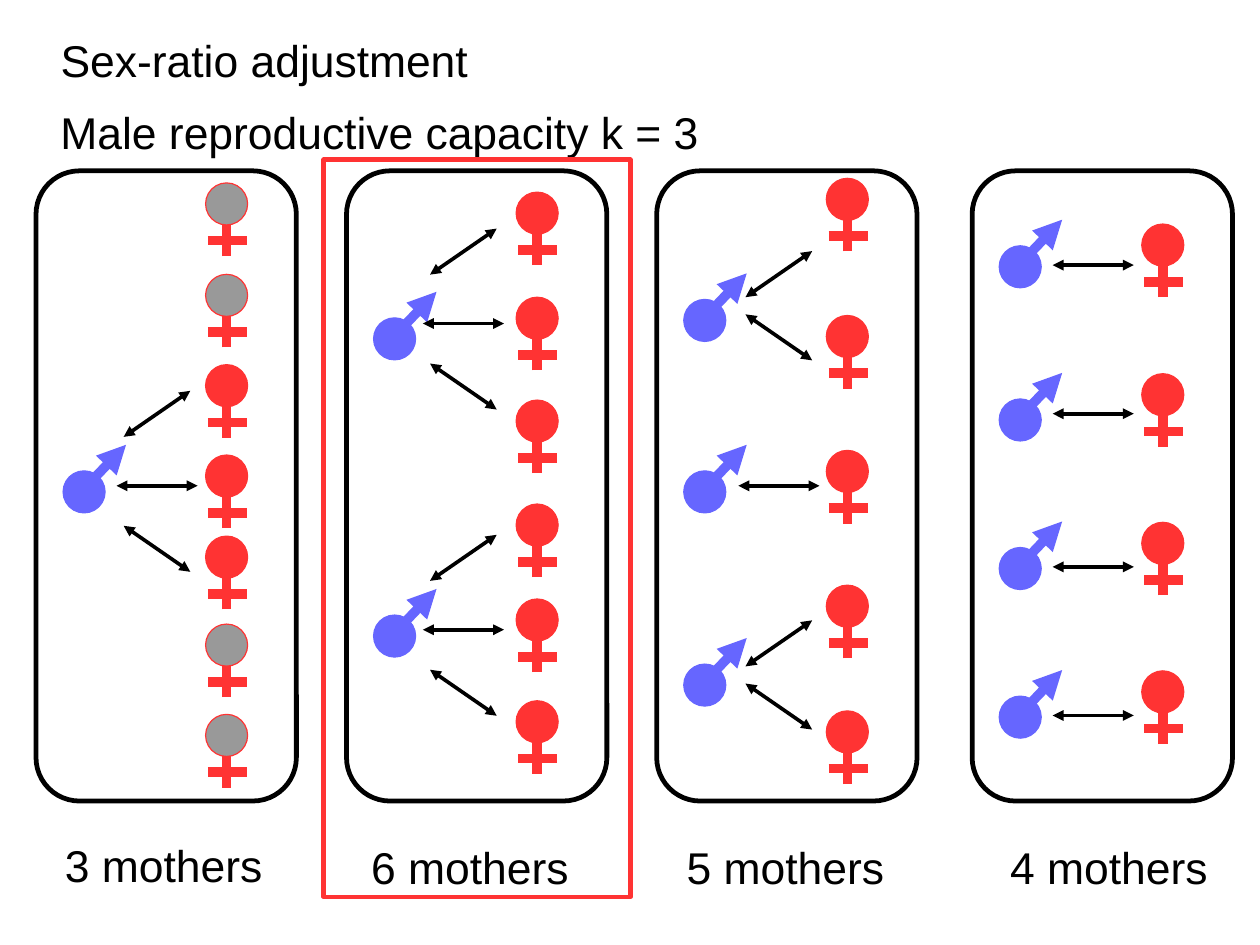
from dataclasses import dataclass

import pptx
import pptx.dml.color
import pptx.enum.shapes
import pptx.enum.text
import pptx.oxml
import pptx.oxml.ns
import pptx.util

Pt = pptx.util.Pt
Shapes = pptx.enum.shapes.MSO_SHAPE

COLORS = {
    "black": "000000",
    "white": "FFFFFF",
    "male": "6666FF",
    "female": "FF3333",
    "unmated": "999999",
}
FONT = "Arial"
FONT_SIZE = 28
TEXT_HEIGHT = 38

# Panel geometry; symbol offsets are measured from the panel's left edge
PANEL_TOP, PANEL_WIDTH, PANEL_HEIGHT = 107.6, 164, 397
MALE_OFFSET, FEMALE_OFFSET = 17, 106.8
HEAD_SIZE = 26.5
SYMBOL_WIDTH, ARROW_WIDTH, FRAME_WIDTH = 6, 2.3, 3

# Arrows for one, two or three mates: x, y, width, height from the fan's origin
LEVEL_ARROW = (0, 0, 51.1, 0)
FANS = {
    1: [LEVEL_ARROW],
    2: [(4.5, -5.4, 42, -29), (4.5, 5.4, 42, 29)],
    3: [LEVEL_ARROW, (4.5, -30.8, 42, -29), (4.5, 25.2, 42, 29)],
}


@dataclass
class Mating:
    """An arrow fan at a height, leading to a number of mates."""
    y: float
    mates: int


@dataclass
class Panel:
    label: str
    left: float
    label_left: float
    label_top: float
    arrow_left: float
    males: list[float]
    females: list[float]
    matings: list[Mating]
    unmated: tuple[int, ...] = ()


PANELS = [
    Panel("3 mothers", 22.7, 33.8, 524.2, 73.4,
          males=[296.6],
          females=[115.2, 172.8, 229.7, 286.6, 337.7, 393.1, 450],
          matings=[Mating(306, 3)],
          unmated=(0, 1, 5, 6)),
    Panel("6 mothers", 218.3, 226.8, 525.6, 266.4,
          males=[200.2, 387.4],
          females=[121, 187.2, 252, 317.5, 377.3, 441.4],
          matings=[Mating(203.8, 3), Mating(396.7, 3)]),
    Panel("5 mothers", 413.7, 425.5, 525.6, 465.1,
          males=[188.6, 296.6, 418.3],
          females=[112.3, 198.7, 283.7, 368.6, 447.8],
          matings=[Mating(192.6, 2), Mating(306, 1), Mating(425.2, 2)]),
    Panel("4 mothers", 612.4, 629.3, 525.6, 663.1,
          males=[154.8, 251.3, 344.9, 438.5],
          females=[141.1, 235.4, 329, 422.6],
          matings=[Mating(167, 1), Mating(260.6, 1), Mating(357.1, 1), Mating(450.7, 1)]),
]


def color(name: str) -> pptx.dml.color.RGBColor:
    return pptx.dml.color.RGBColor.from_string(COLORS[name])


def place(shape, left: float, top: float, width: float, height: float) -> None:
    shape.left, shape.top = Pt(left), Pt(top)
    shape.width, shape.height = Pt(width), Pt(height)


def write(shape, text: str) -> None:
    frame = shape.text_frame
    frame.text = text
    frame.word_wrap = False
    frame.auto_size = pptx.enum.text.MSO_AUTO_SIZE.SHAPE_TO_FIT_TEXT
    frame.vertical_anchor = pptx.enum.text.MSO_ANCHOR.TOP
    paragraph = frame.paragraphs[0]
    paragraph.alignment = pptx.enum.text.PP_ALIGN.LEFT
    paragraph.font.name = FONT
    paragraph.font.size = Pt(FONT_SIZE)
    paragraph.font.color.rgb = color("black")


def add_text(slide, text: str, left: float, top: float, width: float) -> None:
    write(slide.shapes.add_textbox(Pt(left), Pt(top), Pt(width), Pt(TEXT_HEIGHT)), text)


def add_outlined(slide, kind, left: float, top: float, width: float, height: float,
                 fill: str | None, line: str, line_width: float):
    shape = slide.shapes.add_shape(kind, Pt(left), Pt(top), Pt(width), Pt(height))
    shape.shadow.inherit = False
    if fill:
        shape.fill.solid()
        shape.fill.fore_color.rgb = color(fill)
    else:
        shape.fill.background()
    shape.line.color.rgb = color(line)
    shape.line.width = Pt(line_width)
    return shape


def add_line(slide, x: float, y: float, width: float, height: float,
             line: str, line_width: float, ends: tuple[str, ...] = ()) -> None:
    connector = slide.shapes.add_connector(
        pptx.enum.shapes.MSO_CONNECTOR.STRAIGHT,
        Pt(x), Pt(y), Pt(x + width), Pt(y + height))
    connector.line.color.rgb = color(line)
    connector.line.width = Pt(line_width)
    properties = connector.element.spPr
    outline = properties.find(pptx.oxml.ns.qn("a:ln"))
    namespace = pptx.oxml.ns.nsdecls("a")
    for end in ends:
        outline.append(pptx.oxml.parse_xml(f'<a:{end} {namespace} type="triangle"/>'))
    properties.append(pptx.oxml.parse_xml(f"<a:effectLst {namespace}/>"))


def add_male(slide, left: float, top: float) -> None:
    add_outlined(slide, Shapes.OVAL, left, top, HEAD_SIZE, HEAD_SIZE, "male", "male", 0)
    add_line(slide, left + 19.3, top + 5, 20.4, -21.4, "male", SYMBOL_WIDTH, ("tailEnd",))


def add_female(slide, left: float, top: float, fill: str) -> None:
    add_line(slide, left + HEAD_SIZE / 2, top + 46.1, 0, -24.5, "female", SYMBOL_WIDTH)
    add_line(slide, left + 1.5, top + 36.4, 24.5, 0, "female", SYMBOL_WIDTH)
    add_outlined(slide, Shapes.OVAL, left, top, HEAD_SIZE, HEAD_SIZE, fill, "female", 0)


def add_panel(slide, panel: Panel) -> None:
    frame = add_outlined(slide, Shapes.ROUNDED_RECTANGLE, panel.left, PANEL_TOP,
                         PANEL_WIDTH, PANEL_HEIGHT, "white", "black", FRAME_WIDTH)
    frame.adjustments[0] = 0.167
    for top in panel.males:
        add_male(slide, panel.left + MALE_OFFSET, top)
    for index, top in enumerate(panel.females):
        fill = "unmated" if index in panel.unmated else "female"
        add_female(slide, panel.left + FEMALE_OFFSET, top, fill)
    for mating in panel.matings:
        for x, y, width, height in FANS[mating.mates]:
            add_line(slide, panel.arrow_left + x, mating.y + y, width, height,
                     "black", ARROW_WIDTH, ("headEnd", "tailEnd"))
    add_text(slide, panel.label, panel.label_left, panel.label_top, 139)


def main() -> None:
    presentation = pptx.Presentation()
    presentation.slide_width = Pt(793.7)
    presentation.slide_height = Pt(595.28)
    slide = presentation.slides.add_slide(presentation.slide_layouts.get_by_name("Title Only"))

    # Title and subtitle
    place(slide.shapes.title, 31, 17.3, 291.6, TEXT_HEIGHT)
    write(slide.shapes.title, "Sex-ratio adjustment")
    add_text(slide, "Male reproductive capacity k = 3", 31, 62.6, 417.6)

    # Four mating scenarios
    for panel in PANELS:
        add_panel(slide, panel)

    # Highlight around the second scenario
    add_outlined(slide, Shapes.RECTANGLE, 204, 100.6, 193, 464.4, None, "female", FRAME_WIDTH)

    presentation.save("out.pptx")


if __name__ == "__main__":
    main()
